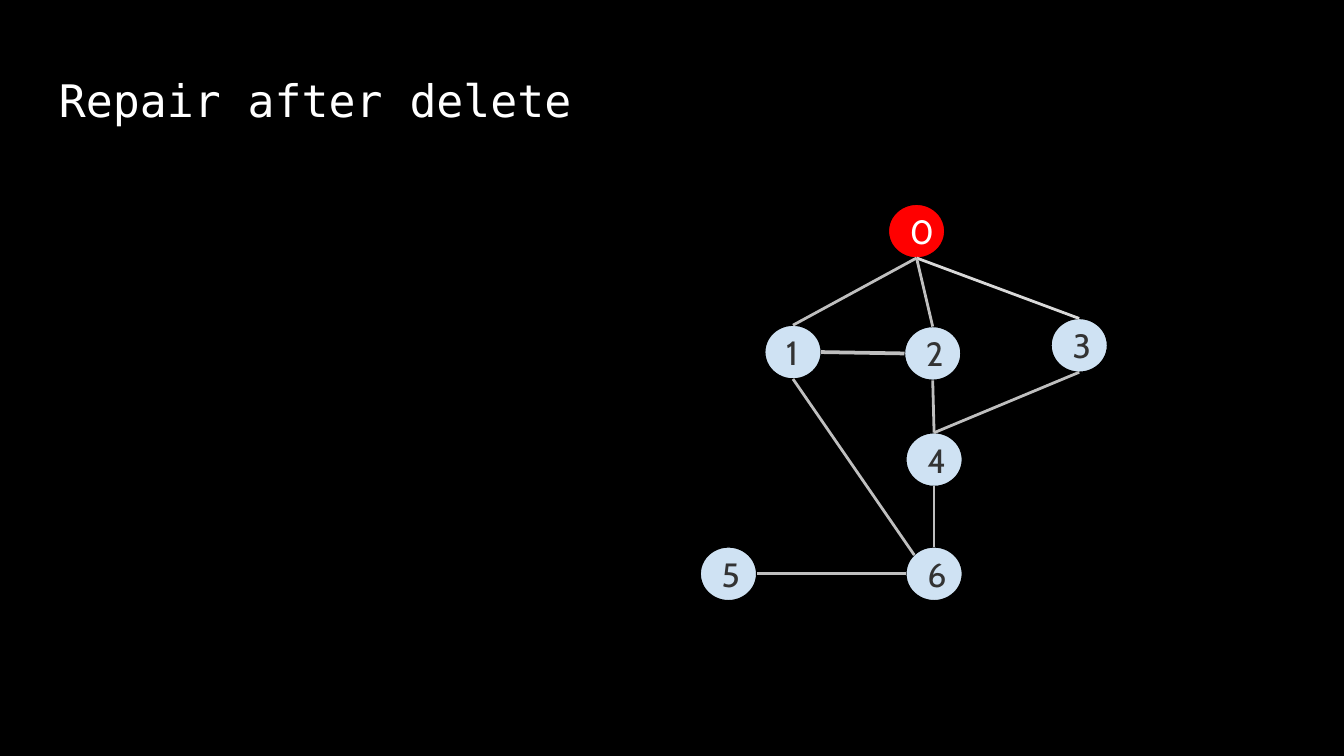
from lxml.etree import SubElement
from pptx import Presentation
from pptx.dml.color import RGBColor
from pptx.enum.shapes import MSO_CONNECTOR as Connector, MSO_SHAPE as Shape
from pptx.enum.text import MSO_ANCHOR as Anchor, PP_ALIGN as Align
from pptx.oxml.ns import qn
from pptx.util import Inches, Pt

TITLE = "Repair after delete"
COLORS = {
    "background": "000000", "outline": "000000", "title": "FFFFFF",
    "node": "CFE2F3", "label": "333333",
    "deleted": "FF0000", "deleted_label": "FFFFFF",
    "edge": "BFBFBF", "light_edge": "D9D9D9",
}

# Node label: left, top
NODES = {
    "2": (6.73, 2.43), "6": (6.74, 4.07), "5": (5.21, 4.07),
    "3": (7.82, 2.37), "0": (6.61, 1.52), "1": (5.69, 2.42),
    "4": (6.74, 3.22),
}
DELETED = "0"
NODE_W, NODE_H = 0.42, 0.4

# Start node, its side, end node, its side, colour, width
EDGES = [
    ("0", "bottom", "1", "top", "edge", 1.5),
    ("0", "bottom", "3", "top", "light_edge", 1.5),
    ("2", "bottom", "4", "top", "edge", 1.5),
    ("0", "bottom", "2", "top", "edge", 1.5),
    ("3", "bottom", "4", "top", "edge", 1.5),
    ("4", "bottom", "6", "top", "edge", 1.5),
    ("6", "left", "5", "right", "edge", 1.5),
    ("1", "bottom", "6", "top_left", "edge", 1.5),
    ("1", "right", "2", "left", "edge", 2),
]
# Sides as fractions of the node's width and height
SIDES = {
    "top": (0.5, 0), "bottom": (0.5, 1), "left": (0, 0.5),
    "right": (1, 0.5), "top_left": (0.15, 0.15),
}


def rgb(name):
    return RGBColor.from_string(COLORS[name])


def write(frame, text, size, font, color):
    frame.word_wrap = True
    frame.margin_left = frame.margin_right = Inches(0.1)
    frame.margin_top = frame.margin_bottom = Inches(0.1)
    frame.text = text
    paragraph = frame.paragraphs[0]
    paragraph.alignment = Align.LEFT
    style = paragraph.runs[0].font
    style.size, style.name = Pt(size), font
    style.color.rgb = rgb(color)
    return paragraph


def anchor_point(label, side):
    left, top = NODES[label]
    across, down = SIDES[side]
    return Inches(left + across * NODE_W), Inches(top + down * NODE_H)


# Slide in 16:9
presentation = Presentation()
presentation.slide_width = Inches(10)
presentation.slide_height = Inches(10 * 9 / 16)
slide = presentation.slides.add_slide(presentation.slide_layouts[6])
slide.background.fill.solid()
slide.background.fill.fore_color.rgb = rgb("background")

# Title
title = slide.shapes.add_textbox(Inches(0.34), Inches(0.49), Inches(9.32), Inches(0.63))
write(title.text_frame, TITLE, 24, "DejaVu Sans Mono", "title").line_spacing = 0.9

# Graph nodes
for label, (left, top) in NODES.items():
    kind, ink = ("deleted", "deleted_label") if label == DELETED else ("node", "label")
    node = slide.shapes.add_shape(
        Shape.OVAL, Inches(left), Inches(top), Inches(NODE_W), Inches(NODE_H))
    node.shadow.inherit = False
    node.fill.solid()
    node.fill.fore_color.rgb = rgb(kind)
    node.line.color.rgb = rgb("outline")
    node.line.width = Pt(0.75)
    node.text_frame.vertical_anchor = Anchor.MIDDLE
    write(node.text_frame, label, 18, "Cabin", ink)

# Graph edges
for start, start_side, end, end_side, color, width in EDGES:
    edge = slide.shapes.add_connector(
        Connector.STRAIGHT, *anchor_point(start, start_side), *anchor_point(end, end_side))
    edge.line.color.rgb = rgb(color)
    edge.line.width = Pt(width)
    SubElement(edge._element.spPr, qn("a:effectLst"))

presentation.save("out.pptx")
